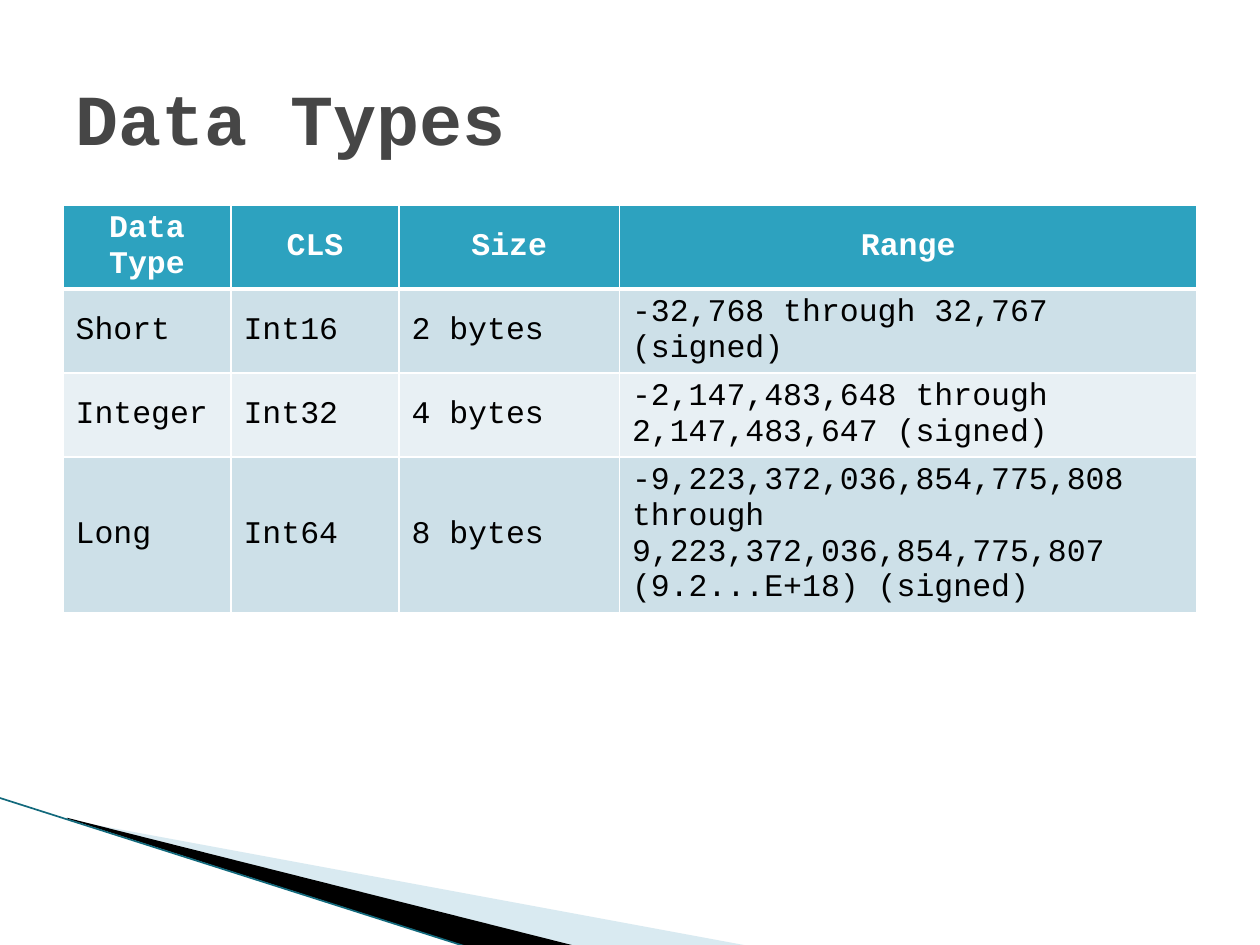
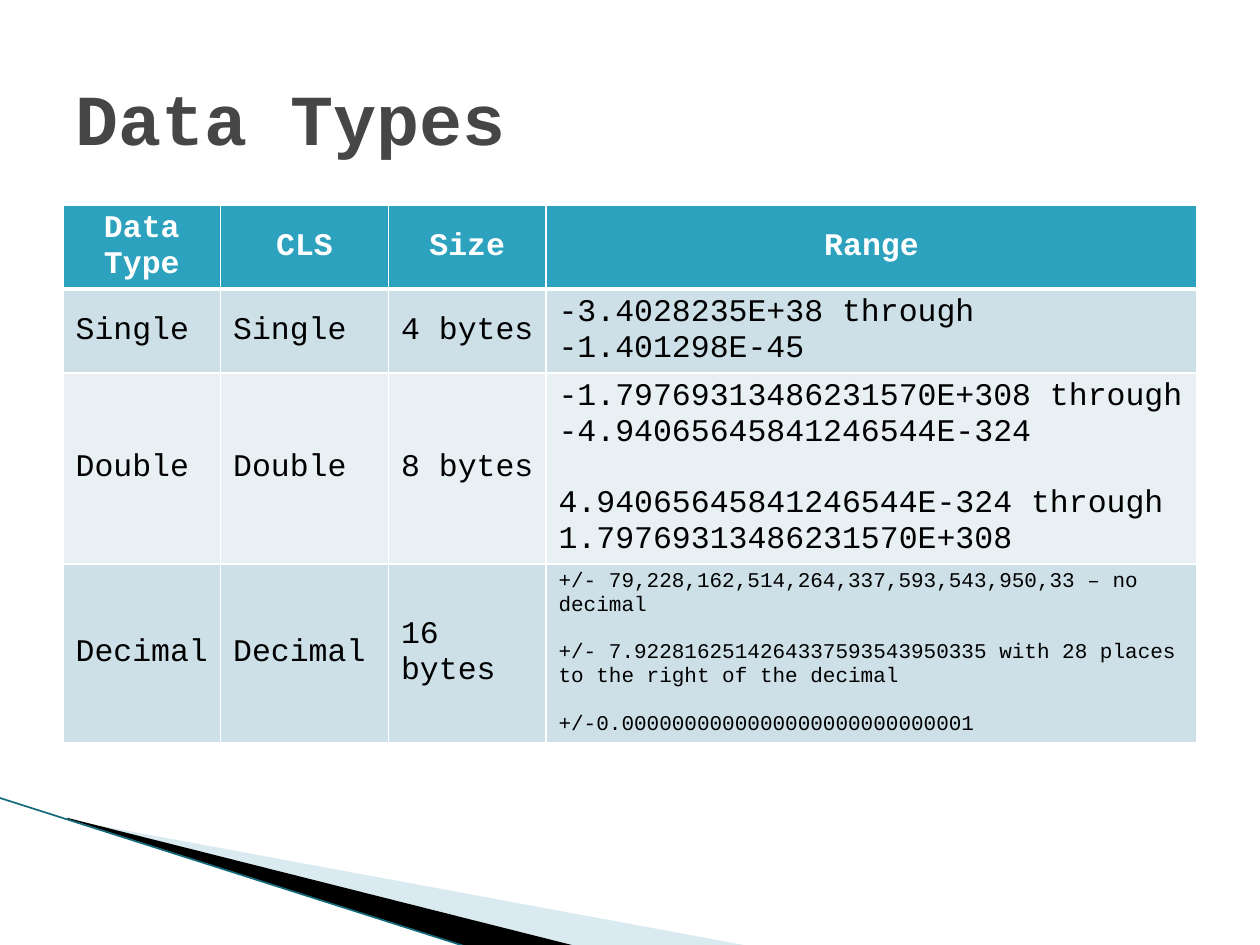
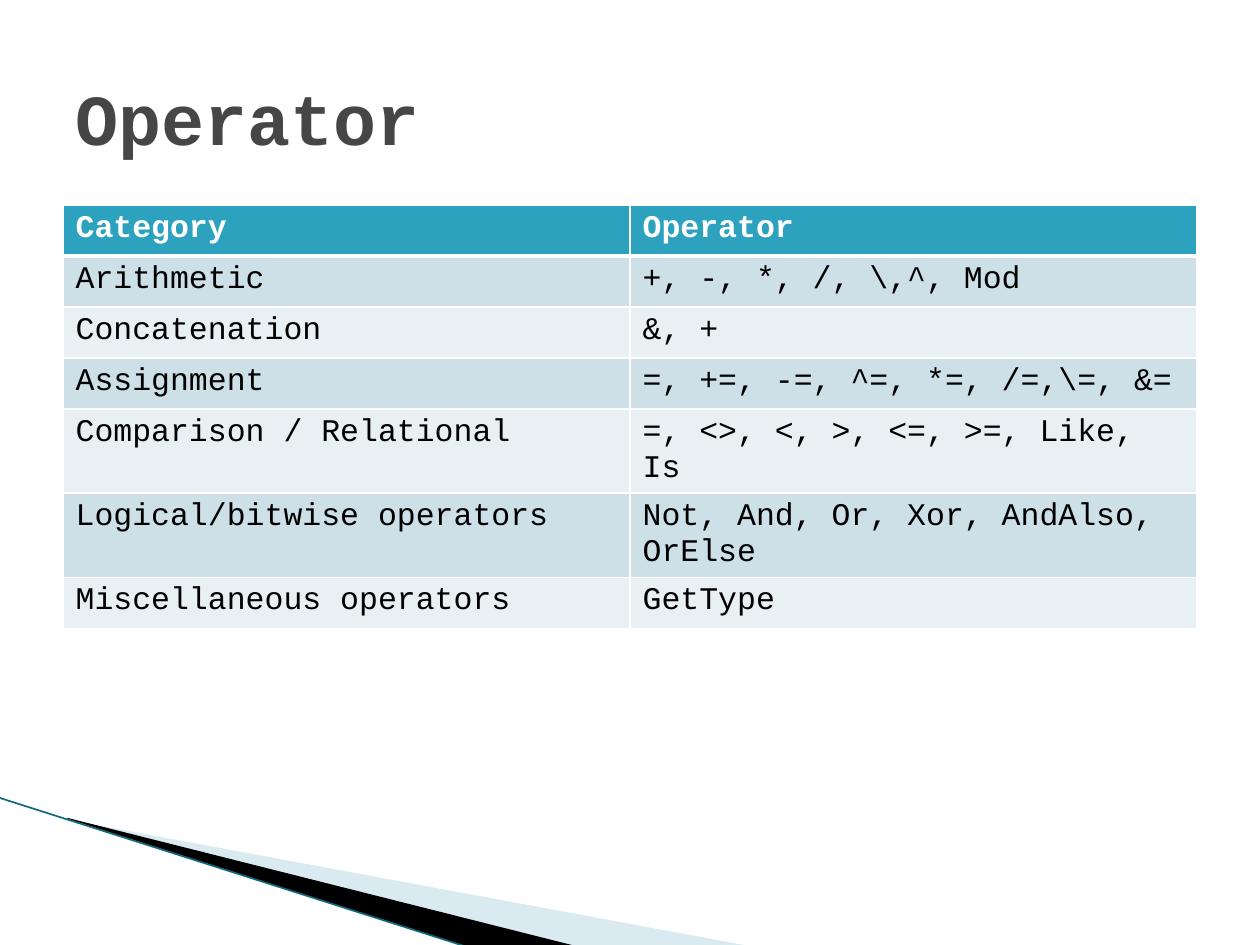
"""Build three slides of data type and operator tables."""
from lxml import etree
from pptx import Presentation, util as u
from pptx.dml.color import RGBColor
from pptx.enum import shapes, text
from pptx.oxml import ns

Pt = u.Pt
HUE = {"head": "2DA2BF", "odd": "CDE0E8", "even": "E8F0F4", "title": "464646",
       "ink": "000000", "white": "FFFFFF", "pale": "A0CBDC", "edge": "12697C"}
FONT = "Courier New"
ROW = 29.2
WEDGES = [
    ("pale", 40, [(39.6, 468.6), (428.4, 540.6), (328.3, 540.6), (39.6, 468)]),
    ("ink", 100, [(38.2, 467.3), (329, 540.6), (267.8, 541.2), (38.9, 468)]),
]
HEAD = ["Data Type", "CLS", "Size", "Range"]
PAGES = [
    ("Data Types", [96, 96, 126, 330], True, [
        HEAD,
        ["Short", "Int16", "2 bytes", "-32,768 through 32,767 (signed)"],
        ["Integer", "Int32", "4 bytes",
         "-2,147,483,648 through 2,147,483,647 (signed)"],
        ["Long", "Int64", "8 bytes",
         "-9,223,372,036,854,775,808 through 9,223,372,036,854,775,807 "
         "(9.2...E+18) (signed)"],
    ]),
    ("Data Types", [90, 96, 90, 372], True, [
        HEAD,
        ["Single", "Single", "4 bytes", "-3.4028235E+38 through -1.401298E-45"],
        ["Double", "Double", "8 bytes", (18, [
            "-1.79769313486231570E+308 through -4.94065645841246544E-324",
            "4.94065645841246544E-324 through 1.79769313486231570E+308"])],
        ["Decimal", "Decimal", "16 bytes", (12, [
            "+/- 79,228,162,514,264,337,593,543,950,33 – no decimal",
            "+/- 7.9228162514264337593543950335 with 28 places to the right of the decimal",
            "+/-0.0000000000000000000000000001"])],
    ]),
    ("Operator", [324, 324], False, [
        ["Category", "Operator"],
        ["Arithmetic", "+, -, *, /, \\,^, Mod"],
        ["Concatenation", "&, +"],
        ["Assignment", "=, +=, -=, ^=, *=, /=,\\=, &="],
        ["Comparison / Relational", "=, <>, <, >, <=, >=, Like, Is"],
        ["Logical/bitwise operators", "Not, And, Or, Xor, AndAlso, OrElse"],
        ["Miscellaneous operators", "GetType"],
    ]),
]


def write(para, words, size, hue, bold):
    run = para.add_run()
    run.text = words
    font = run.font
    font.name, font.size, font.bold = FONT, Pt(size), bold
    font.color.rgb = RGBColor.from_string(HUE[hue])


def rule(cell, side, width):
    props = cell._tc.get_or_add_tcPr()
    line = etree.SubElement(props, ns.qn(f"a:ln{side}"), w=str(Pt(width)))
    fill = etree.SubElement(line, ns.qn("a:solidFill"))
    etree.SubElement(fill, ns.qn("a:srgbClr"), val=HUE["white"])


deck = Presentation()
deck.slide_width, deck.slide_height = Pt(720), Pt(540)

for title, cols, mid, rows in PAGES:
    slide = deck.slides.add_slide(deck.slide_layouts[6])
    for hue, alpha, dots in WEDGES:
        pen = slide.shapes.build_freeform(Pt(dots[0][0]), Pt(dots[0][1]))
        pen.add_line_segments([(Pt(x), Pt(y)) for x, y in dots[1:]], close=True)
        wedge = pen.convert_to_shape()
        wedge.shadow.inherit = False
        wedge.line.fill.background()
        wedge.fill.solid()
        wedge.fill.fore_color.rgb = RGBColor.from_string(HUE[hue])
        if alpha < 100:
            tint = wedge._element.spPr.find(".//" + ns.qn("a:srgbClr"))
            etree.SubElement(tint, ns.qn("a:alpha"), val=str(alpha * 1000))
    edge = slide.shapes.add_connector(
        shapes.MSO_CONNECTOR.STRAIGHT, Pt(-0.7), Pt(455.8), Pt(267.8), Pt(541.4))
    edge.line.width = Pt(0.95)
    edge.line.color.rgb = RGBColor.from_string(HUE["edge"])
    etree.SubElement(edge._element.spPr, ns.qn("a:effectLst"))

    grid = slide.shapes.add_table(
        len(rows), len(cols), Pt(36), Pt(117), Pt(sum(cols)), Pt(ROW * len(rows))).table
    grid.first_row = grid.horz_banding = False
    for col, width in zip(grid.columns, cols):
        col.width = Pt(width)
    for r, row in enumerate(rows):
        grid.rows[r].height = Pt(ROW)
        band = "head" if r == 0 else "odd" if r % 2 else "even"
        for c, item in enumerate(row):
            cell = grid.cell(r, c)
            for side in "LRTB":
                rule(cell, side, 3 if (r, side) in [(0, "B"), (1, "T")] else 1)
            cell.fill.solid()
            cell.fill.fore_color.rgb = RGBColor.from_string(HUE[band])
            if mid:
                cell.vertical_anchor = text.MSO_ANCHOR.MIDDLE
            size, parts = item if isinstance(item, tuple) else (18, [item])
            frame = cell.text_frame
            for n, part in enumerate(parts):
                para = frame.add_paragraph() if n else frame.paragraphs[0]
                if n:
                    para.space_before = Pt(round(size * 1.13, 1))
                if mid and r == 0:
                    para.alignment = text.PP_ALIGN.CENTER
                write(para, part, size, "ink" if r else "white", r == 0)

    box = slide.shapes.add_textbox(Pt(36), Pt(21.6), Pt(648), Pt(90)).text_frame
    box.word_wrap = True
    box.vertical_anchor = text.MSO_ANCHOR.MIDDLE
    write(box.paragraphs[0], title, 41, "title", True)

deck.save("out.pptx")
